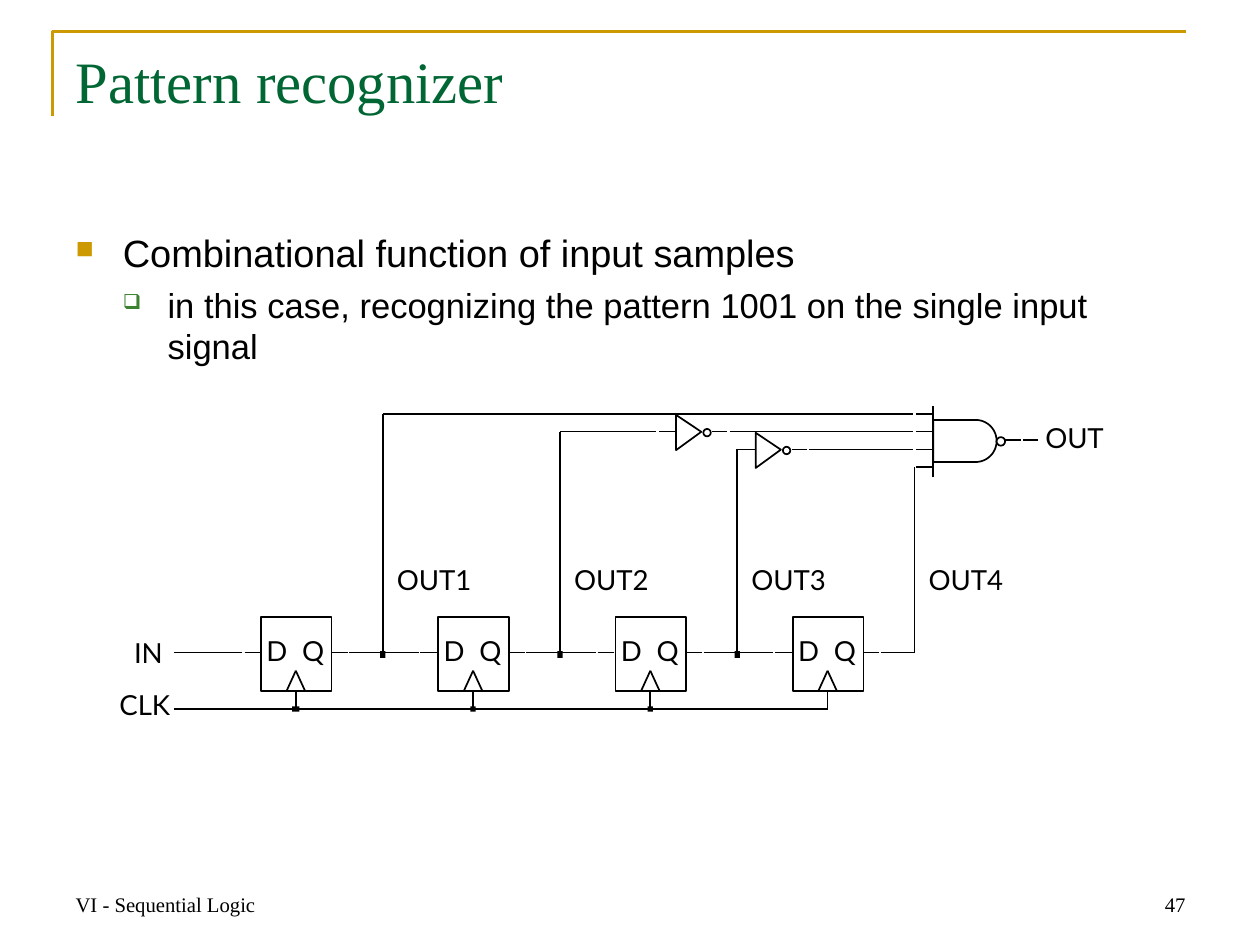
import math
from dataclasses import dataclass

from lxml import etree
from pptx import Presentation
from pptx import util as u
from pptx.dml.color import RGBColor
from pptx.enum import shapes, text
from pptx.oxml.ns import qn

BLACK = RGBColor(0x00, 0x00, 0x00)
WHITE = RGBColor(0xFF, 0xFF, 0xFF)
GOLD = RGBColor(0xCC, 0x99, 0x00)
TITLE_GREEN = RGBColor(0x00, 0x66, 0x33)
BULLET_GREEN = RGBColor(0x3B, 0x81, 0x2F)
SERIF, SANS, LABEL_FONT = "Times New Roman", "Arial", "Lato"
LEFT, RIGHT = text.PP_ALIGN.LEFT, text.PP_ALIGN.RIGHT
TOP, BOTTOM = text.MSO_ANCHOR.TOP, text.MSO_ANCHOR.BOTTOM
RECT, OVAL = shapes.MSO_SHAPE.RECTANGLE, shapes.MSO_SHAPE.OVAL

# Circuit geometry, in points
FIRST_STAGE, STAGE_PITCH = 151.2, 102.7
BOX_TOP, BOX_WIDTH, BOX_HEIGHT = 357.6, 41, 43
TAP_OFFSET, CLOCK_OFFSET = 70.6, 20.2
DATA_Y, CLOCK_Y = 378.3, 411
FIRST_INPUT_Y, INPUT_PITCH = 239.8, 10.35
BUS_END, GATE_INPUT, GATE_LEFT = 529.2, 530.6, 540.7
GATE_TOP, GATE_RADIUS, ARC_CENTER = 243.4, 12.2, 565.2


@dataclass
class Caption:
    words: str
    left: float
    top: float
    width: float
    height: float = 27.4
    font: str = LABEL_FONT
    size: float = 16
    color: RGBColor = BLACK
    align: text.PP_ALIGN = LEFT
    anchor: text.MSO_ANCHOR = TOP
    inset: tuple[float, float] = (1.5, 2.2)
    spacing: float | None = 17


@dataclass
class Bullet:
    words: str
    size: float
    mark: str
    mark_color: RGBColor
    mark_percent: int
    margin: float
    hanging: float
    before: float


@dataclass
class Stage:
    output: str
    dot_width: float = 3
    inverter: float | None = None


def new_frame(slide, left: float, top: float, width: float, height: float,
              inset: tuple[float, float]):
    frame = slide.shapes.add_textbox(u.Pt(left), u.Pt(top), u.Pt(width), u.Pt(height)).text_frame
    frame.word_wrap = True
    frame.margin_left = frame.margin_right = u.Pt(inset[0])
    frame.margin_top = frame.margin_bottom = u.Pt(inset[1])
    return frame


def add_run(paragraph, words: str, font: str, size: float, color: RGBColor) -> None:
    run = paragraph.add_run()
    run.text = words
    run.font.name = font
    run.font.size = u.Pt(size)
    run.font.color.rgb = color


def add_caption(slide, caption: Caption) -> None:
    frame = new_frame(slide, caption.left, caption.top, caption.width, caption.height,
                      caption.inset)
    frame.vertical_anchor = caption.anchor
    paragraph = frame.paragraphs[0]
    paragraph.alignment = caption.align
    if caption.spacing:
        paragraph.line_spacing = u.Pt(caption.spacing)
    add_run(paragraph, caption.words, caption.font, caption.size, caption.color)


def add_bullet(paragraph, bullet: Bullet) -> None:
    props = paragraph._p.get_or_add_pPr()
    props.set("marL", str(u.Pt(bullet.margin)))
    props.set("indent", str(u.Pt(-bullet.hanging)))
    color = etree.SubElement(props, qn("a:buClr"))
    etree.SubElement(color, qn("a:srgbClr"), val=str(bullet.mark_color))
    etree.SubElement(props, qn("a:buSzPct"), val=str(bullet.mark_percent * 1000))
    etree.SubElement(props, qn("a:buChar"), char=bullet.mark)
    if bullet.before:
        paragraph.space_before = u.Pt(bullet.before)
    add_run(paragraph, bullet.words, SANS, bullet.size, BLACK)


def add_wire(slide, x1: float, y1: float, x2: float, y2: float) -> None:
    wire = slide.shapes.add_connector(
        shapes.MSO_CONNECTOR.STRAIGHT, u.Pt(x1), u.Pt(y1), u.Pt(x2), u.Pt(y2))
    wire.line.color.rgb = BLACK
    wire.line.width = u.Pt(1)
    etree.SubElement(wire._element.spPr, qn("a:effectLst"))


def add_run_of_wires(slide, y: float, *spans: tuple[float, float]) -> None:
    for start, end in spans:
        add_wire(slide, start, y, end, y)


def add_part(slide, kind: shapes.MSO_SHAPE, left: float, top: float, width: float,
             height: float, fill: RGBColor, outlined: bool = True) -> None:
    part = slide.shapes.add_shape(kind, u.Pt(left), u.Pt(top), u.Pt(width), u.Pt(height))
    part.shadow.inherit = False
    part.fill.solid()
    part.fill.fore_color.rgb = fill
    if outlined:
        part.line.color.rgb = BLACK
        part.line.width = u.Pt(1)
    else:
        part.line.fill.background()


def add_dot(slide, x: float, y: float, width: float, height: float) -> None:
    add_part(slide, RECT, x - width / 2, y - height / 2, width, height, BLACK, False)


def add_outline(slide, points: list[tuple[float, float]], color: RGBColor, width: float,
                closed: bool) -> None:
    corners = [(u.Pt(x), u.Pt(y)) for x, y in points]
    builder = slide.shapes.build_freeform(*corners[0])
    builder.add_line_segments(corners[1:], close=closed)
    outline = builder.convert_to_shape()
    outline.shadow.inherit = False
    outline.fill.background()
    outline.line.color.rgb = color
    outline.line.width = u.Pt(width)


def add_inverter(slide, left: float, y: float) -> None:
    add_outline(slide, [(left, y - 9.6), (left + 14.6, y + 0.2), (left, y + 10.8)],
                BLACK, 1, True)
    add_part(slide, OVAL, left + 15.8, y - 1.5, 4.3, 4.3, WHITE)


def add_gate(slide) -> None:
    middle = GATE_TOP + GATE_RADIUS
    arc = [(ARC_CENTER + GATE_RADIUS * math.cos(math.radians(angle)),
            middle + GATE_RADIUS * math.sin(math.radians(angle)))
           for angle in range(-90, 91, 5)]
    corners = [(GATE_LEFT, GATE_TOP), *arc, (GATE_LEFT, GATE_TOP + 2 * GATE_RADIUS)]
    add_outline(slide, corners, BLACK, 1, True)
    add_wire(slide, GATE_LEFT, 235.4, GATE_LEFT, 276.5)
    add_part(slide, OVAL, 577.4, 253.4, 5, 5, WHITE)
    add_run_of_wires(slide, 254.9, (582.5, 591.8), (592.6, 601.2))


def add_stage(slide, index: int, stage: Stage, last: bool) -> None:
    left = FIRST_STAGE + index * STAGE_PITCH
    tap, clock = left + TAP_OFFSET, left + CLOCK_OFFSET
    bottom = BOX_TOP + BOX_HEIGHT
    input_y = FIRST_INPUT_Y + index * INPUT_PITCH

    # Flip-flop with its clock mark
    add_part(slide, RECT, left, BOX_TOP, BOX_WIDTH, BOX_HEIGHT, WHITE)
    for foot in (clock - 5.4, clock + 5.4):
        add_wire(slide, foot, bottom, clock, 388.8)
    add_caption(slide, Caption("D", left + 1.7, 367.2, 20))
    add_caption(slide, Caption("Q", left + 22.3, 367.2, 20))
    add_caption(slide, Caption(stage.output, left + 77.2, 326.2, 57))

    # Data and clock wires
    add_run_of_wires(slide, DATA_Y, (left + 41, left + 50.2), (left + 51, tap))
    add_wire(slide, clock, bottom, clock, CLOCK_Y)
    if not last:
        add_run_of_wires(slide, DATA_Y, (tap, left + 91.5), (left + 92.3, left + 102))
        add_dot(slide, tap, 379.4, 3, 4)
        add_dot(slide, clock, CLOCK_Y, stage.dot_width, 3)

    # Tap up to the gate
    add_wire(slide, tap, input_y, tap, DATA_Y)
    add_run_of_wires(slide, input_y, (GATE_INPUT, GATE_LEFT))
    if stage.inverter:
        start = stage.inverter
        add_run_of_wires(slide, input_y, (tap, start - 11.5), (start - 10, start),
                         (start + 20.8, start + 29.8), (start + 31.2, BUS_END))
        add_inverter(slide, start, input_y)
    elif not last:
        add_run_of_wires(slide, input_y, (tap, BUS_END))


def main() -> None:
    deck = Presentation()
    deck.slide_width, deck.slide_height = u.Pt(730), u.Pt(547.2)
    slide = deck.slides.add_slide(deck.slide_layouts[6])

    # Frame, title and footer
    add_outline(slide, [(30.5, 67), (30.5, 18.2), (687.4, 18.2)], GOLD, 1.5, False)
    wide = (7.2, 3.6)
    for caption in (
        Caption("Pattern recognizer", 36.7, 22.3, 656.6, 90.7, SERIF, 34, TITLE_GREEN,
                inset=wide, spacing=None),
        Caption("VI - Sequential Logic", 36.7, 498.2, 170.6, 36.7, SERIF, 12,
                anchor=BOTTOM, inset=wide, spacing=None),
        Caption("47", 523.4, 498.2, 170.6, 36.7, SERIF, 12, align=RIGHT,
                anchor=BOTTOM, inset=wide, spacing=None),
    ):
        add_caption(slide, caption)

    # Bulleted statement
    statement = new_frame(slide, 36.7, 129.6, 656.6, 359, wide)
    bullets = [
        Bullet("Combinational function of input samples", 22, "■", GOLD, 65, 27.4, 27.4, 0),
        Bullet("in this case, recognizing the pattern 1001 on the single input signal",
               20, "❑", BULLET_GREEN, 60, 53.3, 25.9, 5),
    ]
    for index, bullet in enumerate(bullets):
        add_bullet(statement.add_paragraph() if index else statement.paragraphs[0], bullet)

    # Shift register, inverters and output gate
    add_run_of_wires(slide, DATA_Y, (100.8, 140.4), (141.8, FIRST_STAGE))
    last_clock = FIRST_STAGE + 3 * STAGE_PITCH + CLOCK_OFFSET
    add_run_of_wires(slide, CLOCK_Y, (100.8, last_clock))
    stages = [Stage("OUT1", dot_width=4.3), Stage("OUT2", inverter=391.7),
              Stage("OUT3", inverter=437.8), Stage("OUT4")]
    for index, stage in enumerate(stages):
        add_stage(slide, index, stage, stage is stages[-1])
    add_gate(slide)

    # Signal names
    add_caption(slide, Caption("IN", 54, 368.6, 41.8, align=RIGHT))
    add_caption(slide, Caption("CLK", 59.8, 398.9, 40.3, align=RIGHT))
    add_caption(slide, Caption("OUT", 604.1, 244.1, 63.4))

    deck.save("out.pptx")


if __name__ == "__main__":
    main()
